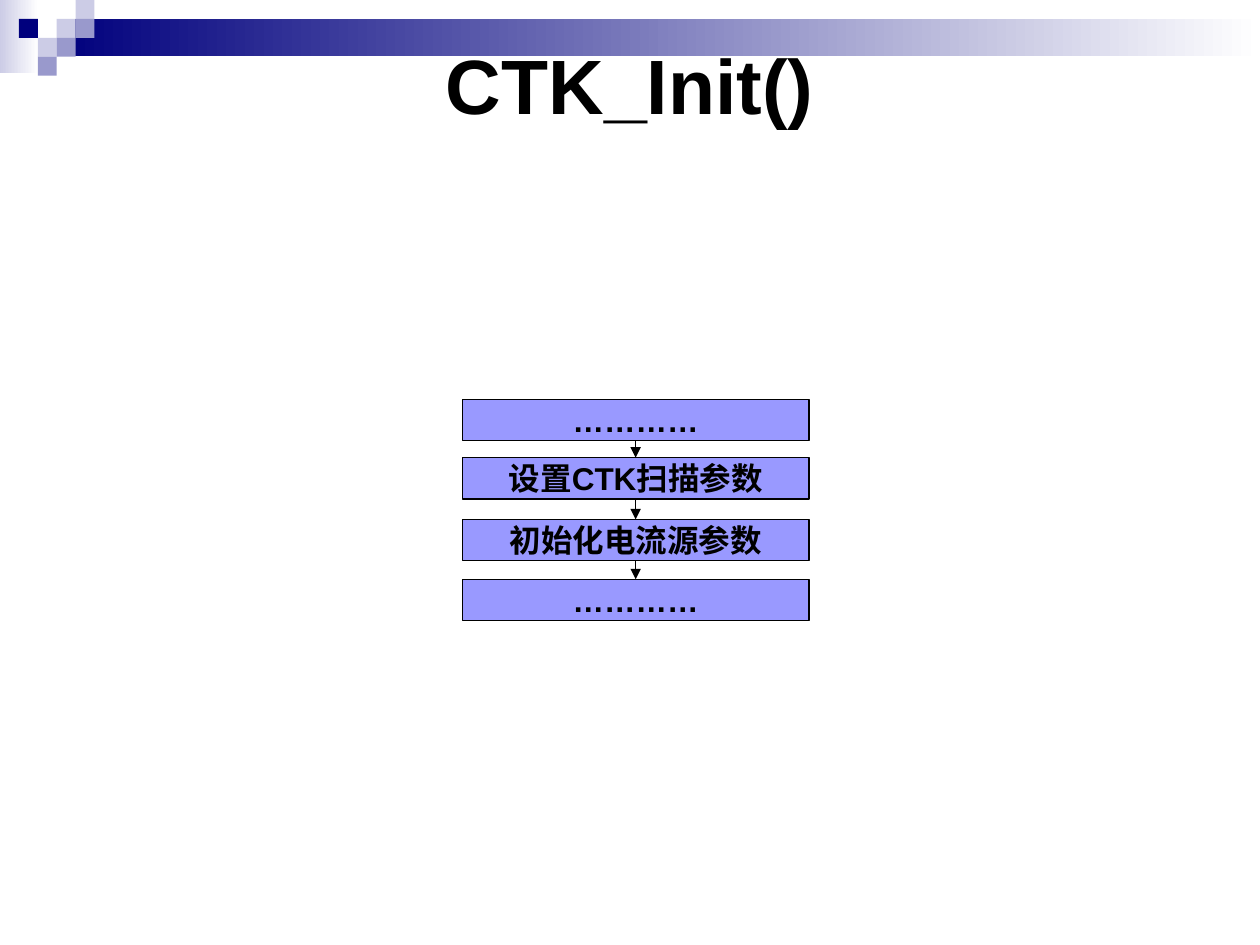
from typing import NamedTuple

from lxml.etree import SubElement
from pptx import Presentation
from pptx.dml.color import RGBColor as Rgb
from pptx.enum.shapes import MSO_CONNECTOR as Connector, MSO_SHAPE as Shape
from pptx.enum.text import MSO_ANCHOR as Anchor, PP_ALIGN as Align
from pptx.oxml.ns import qn
from pptx.util import Pt

COLORS = {
    "navy": "00007D",
    "pale": "CCCCE6",
    "medium": "9999CC",
    "step": "9999FF",
    "black": "000000",
    "white": "FFFFFF",
}
FONT = "Arial"
TILE = 10.8
STEP_LEFT, STEP_WIDTH, STEP_HEIGHT = 264.25, 198, 23.6


class Band(NamedTuple):
    left: float
    top: float
    width: float
    height: float
    color: str


class Tile(NamedTuple):
    column: int
    row: int
    color: str


class Step(NamedTuple):
    top: float
    text: str


BANDS = [
    Band(0, 0, 22, 42, "pale"),
    Band(32.4, TILE, 687.6, 21.4, "navy"),
]
TILES = [
    Tile(3, 1, "pale"),
    Tile(4, 0, "pale"),
    Tile(4, 1, "medium"),
    Tile(2, 2, "pale"),
    Tile(1, 1, "navy"),
    Tile(3, 2, "medium"),
    Tile(2, 3, "medium"),
]
STEPS = [
    Step(228.2, "…………"),
    Step(261.5, "设置CTK扫描参数"),
    Step(296.8, "初始化电流源参数"),
    Step(331, "…………"),
]


def color(name: str) -> Rgb:
    return Rgb.from_string(COLORS[name])


def add_rectangle(slide, left: float, top: float, width: float, height: float):
    shape = slide.shapes.add_shape(
        Shape.RECTANGLE, Pt(left), Pt(top), Pt(width), Pt(height)
    )
    shape.shadow.inherit = False
    shape.line.fill.background()
    return shape


def add_band(slide, band: Band) -> None:
    shape = add_rectangle(slide, band.left, band.top, band.width, band.height)
    shape.fill.gradient()
    shape.fill.gradient_angle = 0
    for stop, name in zip(shape.fill.gradient_stops, (band.color, "white")):
        stop.color.rgb = color(name)


def add_tile(slide, tile: Tile) -> None:
    shape = add_rectangle(slide, tile.column * TILE, tile.row * TILE, TILE, TILE)
    shape.fill.solid()
    shape.fill.fore_color.rgb = color(tile.color)


def write_text(shape, text: str, size: float, wrap: bool) -> None:
    frame = shape.text_frame
    frame.word_wrap = wrap
    frame.vertical_anchor = Anchor.MIDDLE
    paragraph = frame.paragraphs[0]
    paragraph.alignment = Align.CENTER
    run = paragraph.add_run()
    run.text = text
    run.font.name = FONT
    run.font.size = Pt(size)
    run.font.bold = True
    run.font.color.rgb = color("black")


def add_step(slide, step: Step):
    shape = add_rectangle(slide, STEP_LEFT, step.top, STEP_WIDTH, STEP_HEIGHT)
    shape.fill.solid()
    shape.fill.fore_color.rgb = color("step")
    shape.line.color.rgb = color("black")
    shape.line.width = Pt(0.75)
    write_text(shape, step.text, 18, wrap=False)
    return shape


def add_arrow(slide, upper, lower) -> None:
    arrow = slide.shapes.add_connector(Connector.STRAIGHT, 0, 0, 0, 0)
    arrow.begin_connect(upper, 2)
    arrow.end_connect(lower, 0)
    arrow.line.color.rgb = color("black")
    arrow.line.width = Pt(0.75)
    properties = arrow.line._get_or_add_ln()
    SubElement(properties, qn("a:tailEnd"), type="triangle")
    SubElement(arrow._element.spPr, qn("a:effectLst"))


def main() -> None:
    presentation = Presentation()
    presentation.slide_width = Pt(720)
    presentation.slide_height = Pt(540)
    slide = presentation.slides.add_slide(presentation.slide_layouts[6])

    # Header decoration
    for band in BANDS:
        add_band(slide, band)
    for tile in TILES:
        add_tile(slide, tile)

    # Title
    title = slide.shapes.add_textbox(Pt(36), Pt(36), Pt(648), Pt(24))
    write_text(title, "CTK_Init()", 44, wrap=True)

    # Flow of steps, joined from top to bottom
    boxes = [add_step(slide, step) for step in STEPS]
    for upper, lower in zip(boxes, boxes[1:]):
        add_arrow(slide, upper, lower)

    presentation.save("out.pptx")


if __name__ == "__main__":
    main()
